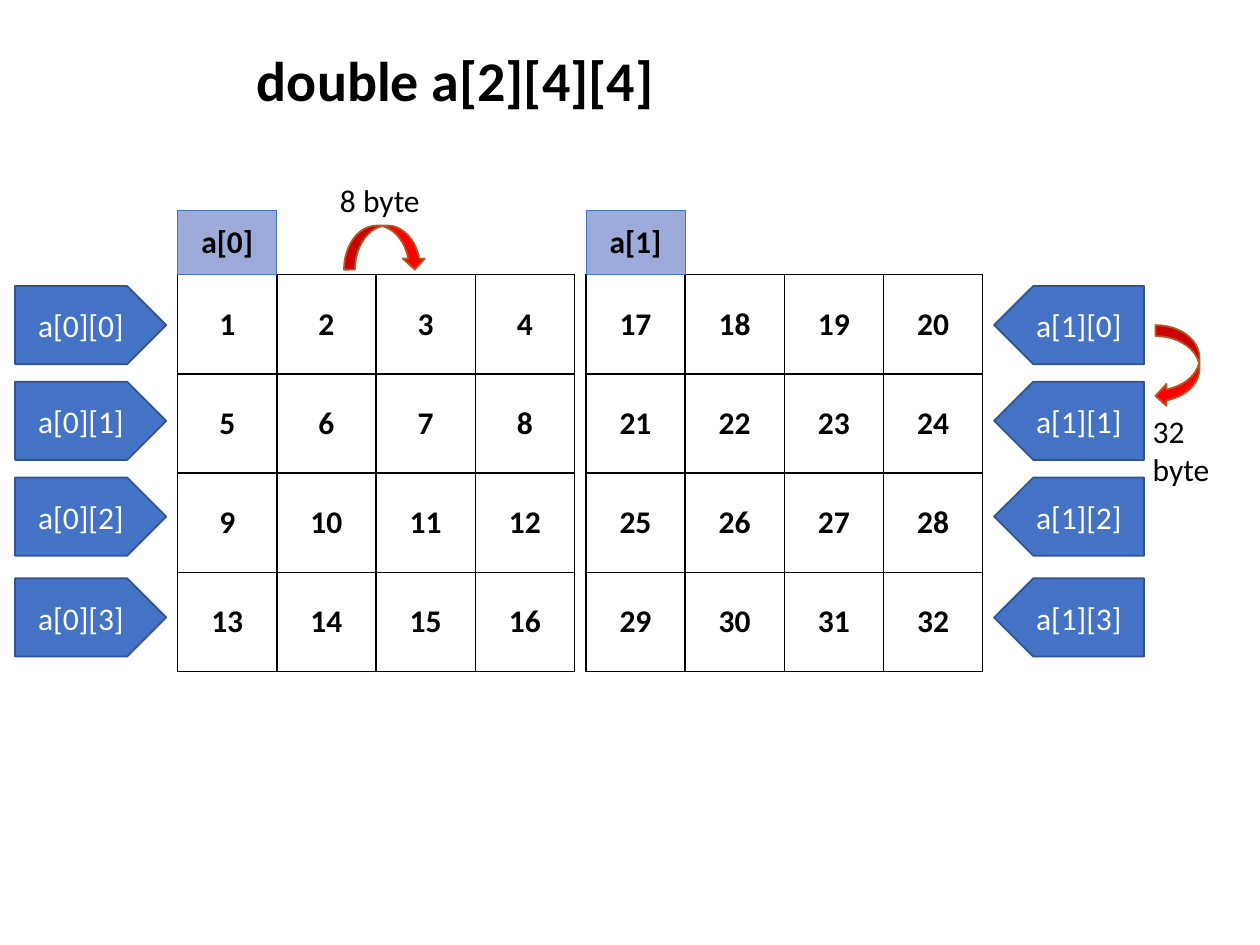
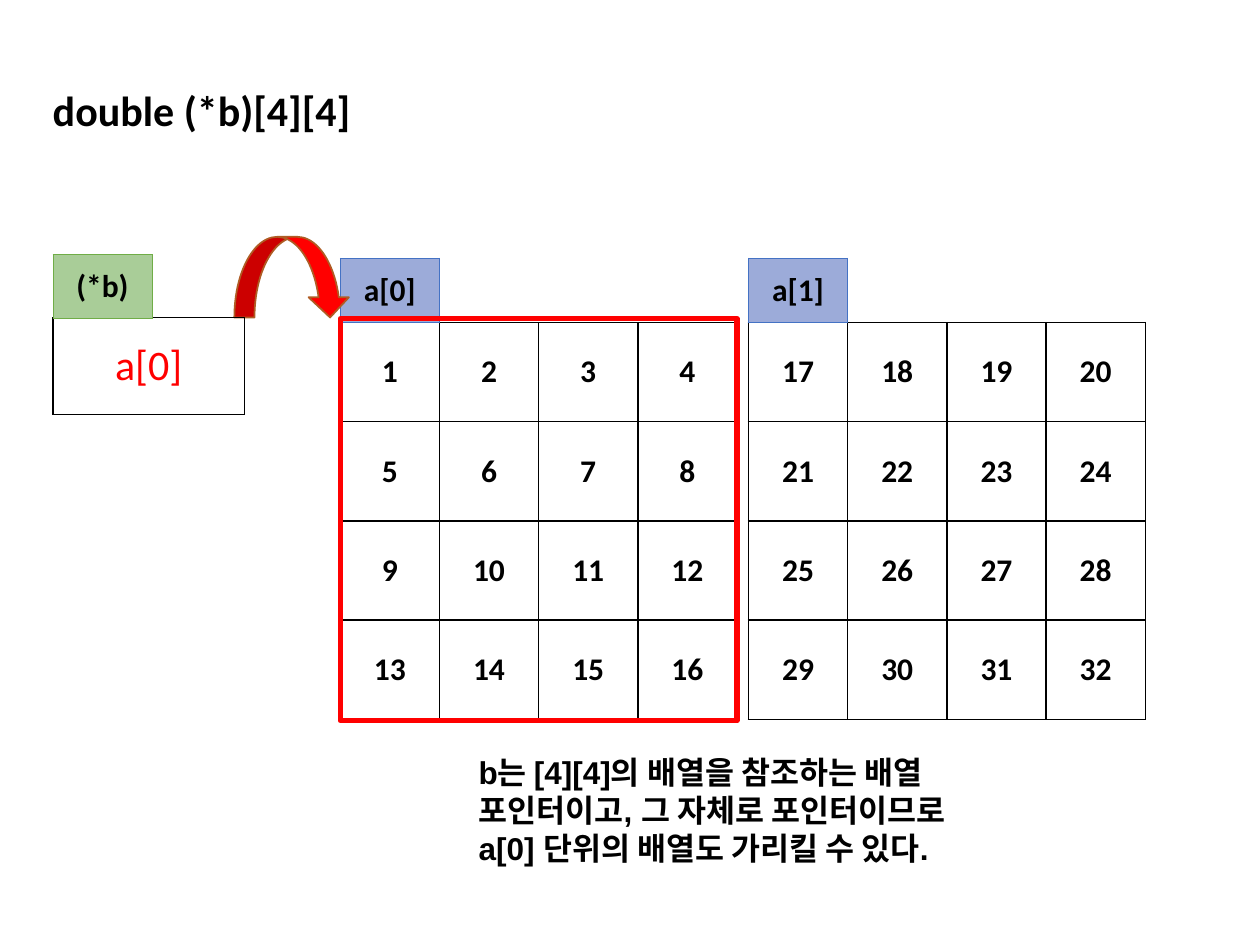
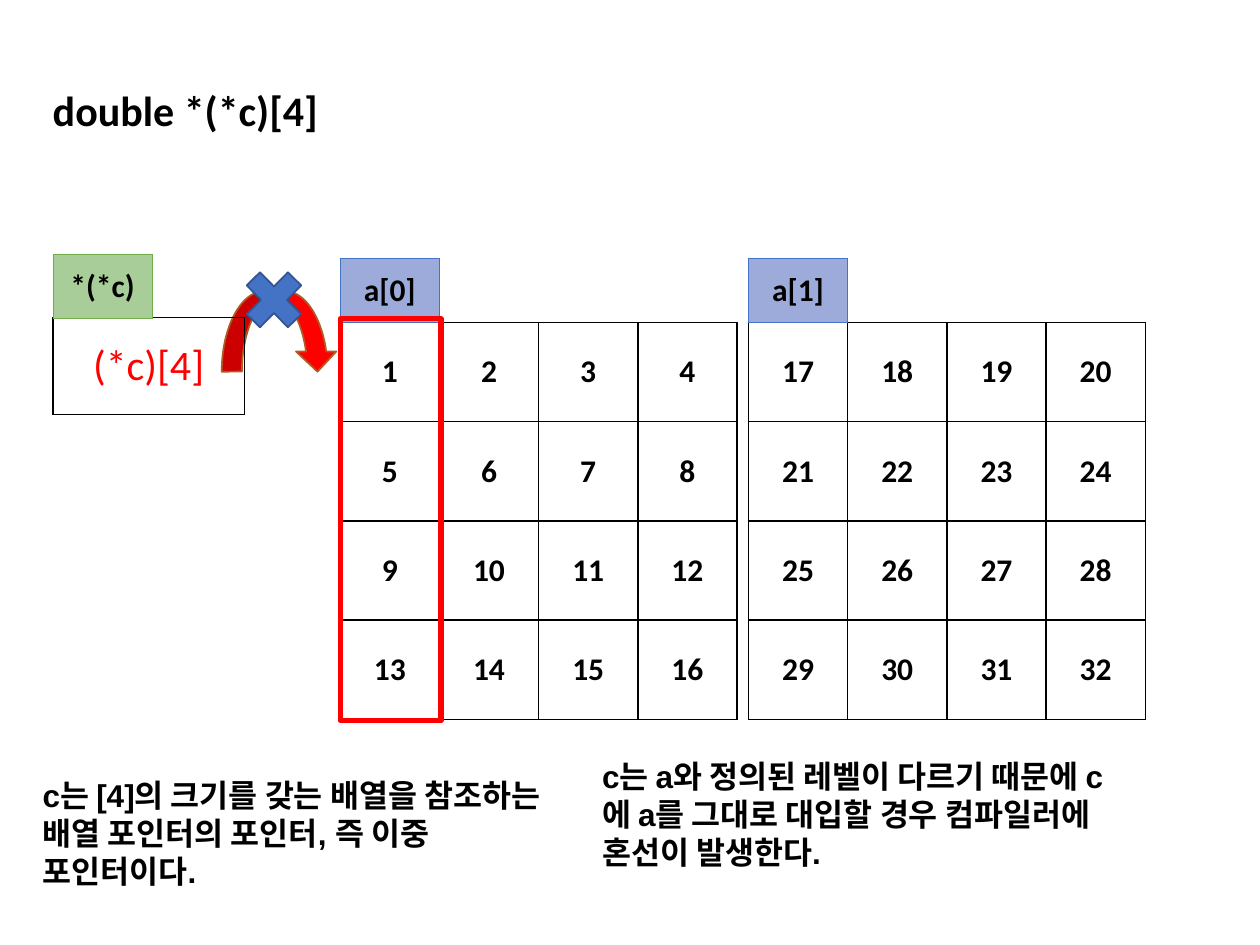
import lxml.etree
import pptx
import pptx.dml.color
import pptx.enum.shapes
import pptx.enum.text
import pptx.oxml.ns
import pptx.util

Inches = pptx.util.Inches
Pt = pptx.util.Pt
Shape = pptx.enum.shapes.MSO_SHAPE
Align = pptx.enum.text.PP_ALIGN
Anchor = pptx.enum.text.MSO_ANCHOR

COLORS = {
    "black": "000000", "white": "FFFFFF", "red": "FF0000",
    "blue": "4472C4", "blue_edge": "325491", "blue_tint": "9CABD9",
    "green": "70AD47", "green_tint": "A9CD98", "arrow_edge": "AF5C24",
}
CELL = 0.7875        # side of one matrix cell
MATRIX_STEP = 3.24   # from one matrix to the next
TAB_HEIGHT = 0.51


def rgb(name):
    return pptx.dml.color.RGBColor.from_string(COLORS[name])


def write(frame, text, size=18, color="black", bold=False, font="Calibri", align=Align.LEFT):
    para = frame.paragraphs[0]
    para.alignment = align
    span = para.add_run()
    span.text = text
    span.font.name = font
    span.font.size = Pt(size)
    span.font.bold = bold
    span.font.color.rgb = rgb(color)


class Painter:
    def __init__(self):
        self.deck = pptx.Presentation()
        self.deck.slide_width = Inches(10)
        self.deck.slide_height = Inches(7.5)
        self.page = None

    def new_page(self):
        self.page = self.deck.slides.add_slide(self.deck.slide_layouts[6])

    def text(self, text, left, top, width, height, **style):
        box = self.page.shapes.add_textbox(Inches(left), Inches(top), Inches(width), Inches(height))
        box.text_frame.word_wrap = True
        box.text_frame.auto_size = pptx.enum.text.MSO_AUTO_SIZE.SHAPE_TO_FIT_TEXT
        write(box.text_frame, text, **style)

    def note(self, text, left, top):
        self.text(text, left, top, 4.31, 1.01, font="Arial", bold=True)

    def shape(self, kind, left, top, width, height, fill=None, edge="blue_edge", weight=1,
              text=None, turn=0, mirrored=False):
        shape = self.page.shapes.add_shape(
            kind, Inches(left), Inches(top), Inches(width), Inches(height))
        shape.shadow.inherit = False
        shape.rotation = turn
        if fill:
            shape.fill.solid()
            shape.fill.fore_color.rgb = rgb(fill)
        else:
            shape.fill.background()
        shape.line.color.rgb = rgb(edge)
        shape.line.width = Pt(weight)
        if mirrored:
            shape.element.spPr.xfrm.set("flipH", "1")
        if text:
            shape.text_frame.vertical_anchor = Anchor.MIDDLE
            write(shape.text_frame, text, color="white", align=Align.CENTER)

    def jump_arrow(self, left, top, width, height, turn=0):
        self.shape(Shape.CURVED_DOWN_ARROW, left, top, width, height,
                   fill="red", edge="arrow_edge", turn=turn)

    def border(self, cell, color, weight):
        properties = cell._tc.get_or_add_tcPr()
        for side in ("lnL", "lnR", "lnT", "lnB"):
            line = lxml.etree.SubElement(
                properties, pptx.oxml.ns.qn("a:" + side), w=str(Pt(weight)))
            solid = lxml.etree.SubElement(line, pptx.oxml.ns.qn("a:solidFill"))
            lxml.etree.SubElement(solid, pptx.oxml.ns.qn("a:srgbClr"), val=COLORS[color])

    def table(self, rows, left, top, cell_width, cell_height, fill=None, edge="black",
              weight=1, **style):
        count = len(rows[0])
        table = self.page.shapes.add_table(
            len(rows), count, Inches(left), Inches(top),
            Inches(cell_width * count), Inches(cell_height * len(rows))).table
        table.first_row = table.horz_banding = False
        for column in table.columns:
            column.width = Inches(cell_width)
        for row, texts in zip(table.rows, rows):
            row.height = Inches(cell_height)
            for cell, text in zip(row.cells, texts):
                self.border(cell, edge, weight)
                if fill:
                    cell.fill.solid()
                    cell.fill.fore_color.rgb = rgb(fill)
                else:
                    cell.fill.background()
                cell.vertical_anchor = Anchor.MIDDLE
                write(cell.text_frame, text, align=Align.CENTER, **style)

    def tab(self, text, left, top, color):
        self.table([[text]], left, top, CELL, TAB_HEIGHT, fill=color + "_tint",
                   edge=color, weight=0.5, bold=True)

    def array(self, left, top):
        """Two 4 x 4 matrices holding 1 to 32, each with its name tab."""
        for index in range(2):
            x = left + index * MATRIX_STEP
            first = 16 * index + 1
            rows = [[str(first + 4 * row + column) for column in range(4)] for row in range(4)]
            self.table(rows, x, top, CELL, CELL, bold=True)
            self.tab(f"a[{index}]", x, top - TAB_HEIGHT, "blue")

    def pointer_page(self, title, name, value, arrow):
        self.new_page()
        self.array(2.7, 2.56)
        self.text(title, 0.32, 0.62, 4.45, 0.5, size=24, bold=True)
        self.jump_arrow(*arrow, 0.92, 0.64)
        self.table([[value]], 0.42, 2.52, 1.52, 0.77, size=24, color="red")
        self.tab(name, 0.42, 2.02, "green")

    def target_frame(self, width):
        self.shape(Shape.RECTANGLE, 2.7, 2.53, width, 3.19, edge="red", weight=3)


painter = Painter()

# Slide 1: memory layout of the array
painter.new_page()
painter.array(1.41, 2.18)
for row, top in enumerate((2.27, 3.03, 3.79, 4.59)):
    painter.shape(Shape.PENTAGON, 0.12, top, 1.2, 0.62, fill="blue", text=f"a[0][{row}]")
    painter.shape(Shape.PENTAGON, 7.89, top, 1.19, 0.62, fill="blue", text=f"a[1][{row}]",
                  mirrored=True)
painter.text("double a[2][4][4]", 1.94, 0.31, 4.45, 0.64, size=32, bold=True)
painter.jump_arrow(2.73, 1.79, 0.65, 0.35)
painter.text("8 byte", 2.6, 1.39, 0.94, 0.4)
painter.jump_arrow(9.02, 2.73, 0.65, 0.35, turn=90)
painter.text("32 byte", 9.05, 3.22, 0.94, 0.71)

# Slide 2: pointer to a whole matrix
painter.pointer_page("double (*b)[4][4]", "(*b)", "a[0]", arrow=(1.86, 1.88))
painter.target_frame(3.15)
painter.note("b는 [4][4]의 배열을 참조하는 배열 포인터이고, 그 자체로 포인터이므로 "
             "a[0] 단위의 배열도 가리킬 수 있다.", 3.7, 5.93)

# Slide 3: pointer to an array of pointers, which does not match
painter.pointer_page("double *(*c)[4]", "*(*c)", "(*c)[4]", arrow=(1.76, 2.31))
painter.target_frame(0.8)
painter.note("c는 [4]의 크기를 갖는 배열을 참조하는 배열 포인터의 포인터, 즉 "
             "이중 포인터이다.", 0.24, 6.11)
painter.note("c는 a와 정의된 레벨이 다르기 때문에 c에 a를 그대로 대입할 경우 "
             "컴파일러에 혼선이 발생한다.", 4.68, 5.96)
painter.shape(Shape.MATH_MULTIPLY, 1.86, 2.06, 0.63, 0.64, fill="blue")

painter.deck.save("out.pptx")
